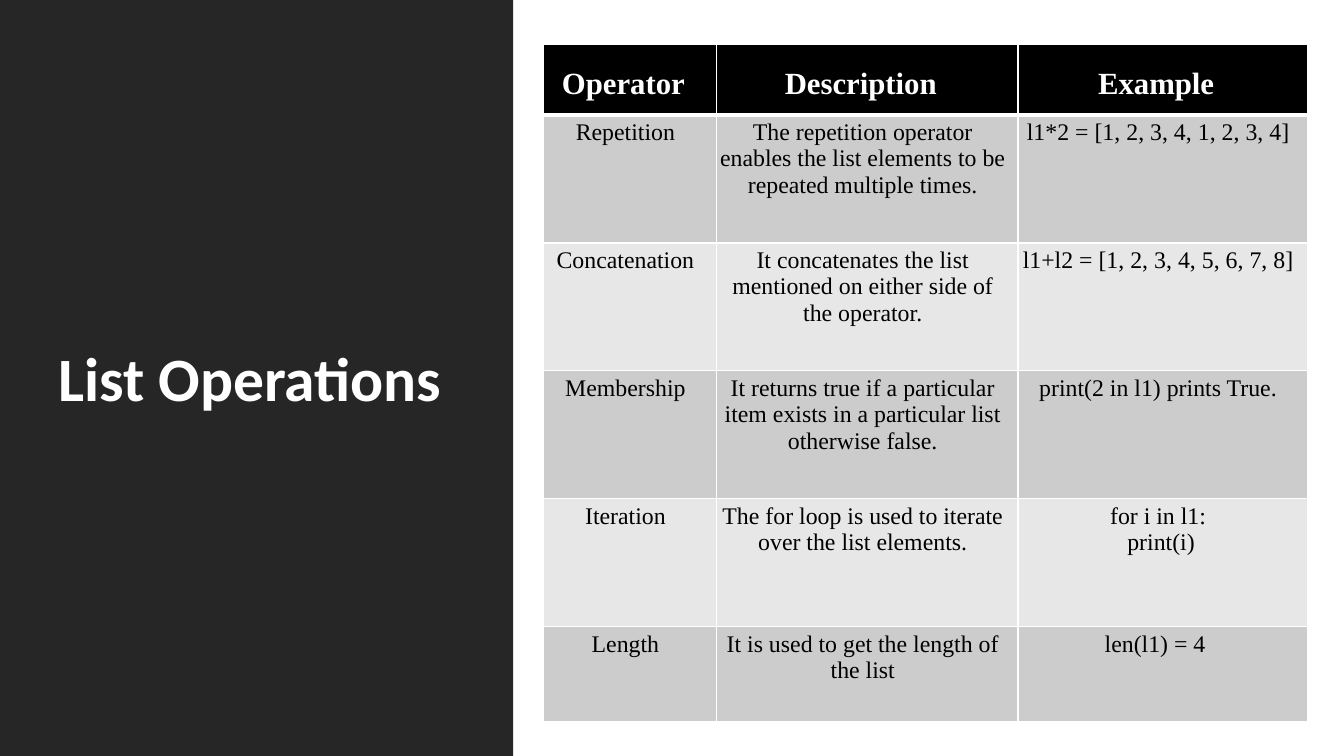
from dataclasses import dataclass

from lxml import etree
from pptx import Presentation
from pptx.dml.color import RGBColor
from pptx.enum import shapes, text
from pptx.oxml import ns
from pptx.util import Pt


@dataclass(frozen=True)
class Theme:
    panel: str = "262626"
    header: str = "000000"
    bands: tuple = ("CCCCCC", "E7E7E7")
    light: str = "FFFFFF"
    dark: str = "000000"
    title_font: str = "Calibri"
    table_font: str = "Times New Roman"
    title_size: int = 44
    header_size: int = 22
    body_size: int = 17


THEME = Theme()
COLUMN_WIDTHS = (123.84, 215.28, 206.64)
ROW_HEIGHTS = (50.4, 91.44, 91.44, 91.44, 91.44, 67.68)
HEADER_MARGINS = (0, 2.16, 9.36, 10.08)
BODY_MARGINS = (0, 2.88, 6.48, 10.08)
OPERATIONS = (
    ("Operator", "Description", "Example"),
    ("Repetition",
     "The repetition operator enables the list elements to be repeated multiple times.",
     "l1*2 = [1, 2, 3, 4, 1, 2, 3, 4]"),
    ("Concatenation",
     "It concatenates the list mentioned on either side of the operator.",
     "l1+l2 = [1, 2, 3, 4, 5, 6, 7, 8]"),
    ("Membership",
     "It returns true if a particular item exists in a particular list otherwise false.",
     "print(2 in l1) prints True."),
    ("Iteration",
     "The for loop is used to iterate over the list elements.",
     "for i in l1:\n print(i)"),
    ("Length", "It is used to get the length of the list", "len(l1) = 4 "),
)


def set_font(p, name, size, color, bold):
    p.font.name = name
    p.font.size = Pt(size)
    p.font.bold = bold
    p.font.color.rgb = RGBColor.from_string(color)


def set_borders(cell, bottom):
    """Draw light cell borders, 1 pt wide except for the bottom one."""
    props = cell._tc.get_or_add_tcPr()
    widths = {"lnL": 1, "lnR": 1, "lnT": 1, "lnB": bottom}
    for i, (side, width) in enumerate(widths.items()):
        line = etree.Element(ns.qn(f"a:{side}"), w=str(Pt(width)))
        fill = etree.SubElement(line, ns.qn("a:solidFill"))
        etree.SubElement(fill, ns.qn("a:srgbClr"), val=THEME.light)
        props.insert(i, line)


def set_title(slide, words):
    sp = slide.shapes.title
    sp.left, sp.top, sp.width, sp.height = Pt(34.56), Pt(164.16), Pt(298.08), Pt(136.08)
    tf = sp.text_frame
    tf.text = words
    tf.word_wrap = True
    tf.auto_size = text.MSO_AUTO_SIZE.NONE
    tf.vertical_anchor = text.MSO_ANCHOR.BOTTOM
    p = tf.paragraphs[0]
    p.alignment = text.PP_ALIGN.LEFT
    p.line_spacing = 0.9
    set_font(p, THEME.title_font, THEME.title_size, THEME.light, True)


def add_side_panel(slide):
    """Add the dark panel behind the title."""
    sp = slide.shapes.add_shape(shapes.MSO_SHAPE.RECTANGLE, 0, 0, Pt(366.48), Pt(540))
    sp.shadow.inherit = False
    sp.fill.solid()
    sp.fill.fore_color.rgb = RGBColor.from_string(THEME.panel)
    sp.line.fill.background()
    slide.shapes.title._element.addprevious(sp._element)


def fill_cell(cell, words, row):
    is_header = row == 0
    margins = HEADER_MARGINS if is_header else BODY_MARGINS
    cell.margin_left, cell.margin_top, cell.margin_right, cell.margin_bottom = map(Pt, margins)
    cell.vertical_anchor = text.MSO_ANCHOR.BOTTOM if is_header else text.MSO_ANCHOR.TOP
    cell.fill.solid()
    color = THEME.header if is_header else THEME.bands[(row - 1) % 2]
    cell.fill.fore_color.rgb = RGBColor.from_string(color)
    set_borders(cell, 3 if is_header else 1)
    cell.text = words
    for p in cell.text_frame.paragraphs:
        p.alignment = text.PP_ALIGN.CENTER
        set_font(p, THEME.table_font,
                 THEME.header_size if is_header else THEME.body_size,
                 THEME.light if is_header else THEME.dark, is_header)


def add_operations_table(slide):
    table = slide.shapes.add_table(
        len(ROW_HEIGHTS), len(COLUMN_WIDTHS), Pt(388.08), Pt(31.68),
        Pt(sum(COLUMN_WIDTHS)), Pt(sum(ROW_HEIGHTS))).table
    for column, width in zip(table.columns, COLUMN_WIDTHS):
        column.width = Pt(width)
    for r, height in enumerate(ROW_HEIGHTS):
        table.rows[r].height = Pt(height)
        for c, words in enumerate(OPERATIONS[r]):
            fill_cell(table.cell(r, c), words, r)


def main():
    prs = Presentation()
    prs.slide_width, prs.slide_height = Pt(960), Pt(540)
    slide = prs.slides.add_slide(prs.slide_layouts[5])
    set_title(slide, "List Operations")
    add_side_panel(slide)
    add_operations_table(slide)
    prs.save("out.pptx")


if __name__ == "__main__":
    main()
